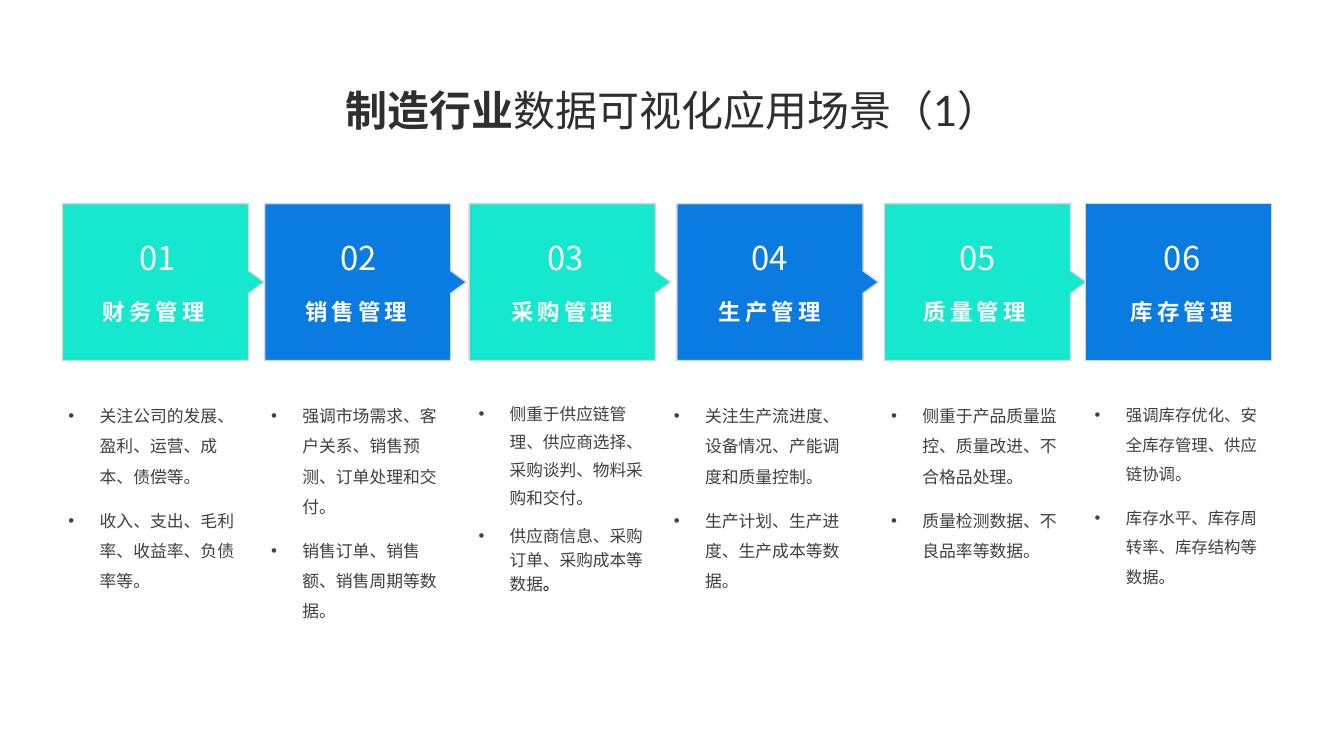
from dataclasses import dataclass

from lxml import etree
from pptx import Presentation
from pptx.dml.color import RGBColor
from pptx.enum.shapes import MSO_SHAPE
from pptx.enum.text import MSO_ANCHOR as ANCHOR, MSO_AUTO_SIZE as AUTO, PP_ALIGN as ALIGN
from pptx.oxml.ns import qn
from pptx.util import Pt

TEAL = RGBColor(0x16, 0xE7, 0xCF)
BLUE = RGBColor(0x0A, 0x7B, 0xE0)
WHITE = RGBColor(0xFF, 0xFF, 0xFF)
BORDER = RGBColor(0xD5, 0xD5, 0xD5)
INK = RGBColor(0x2F, 0x2F, 0x2F)
GREY = RGBColor(0x40, 0x40, 0x40)
BLACK = RGBColor(0, 0, 0)
TITLE_FONT = "Lato"
BODY_FONT = "Noto Sans CJK SC"

CARD_TOP, CARD_W, CARD_H = 291, 266, 224
TIP_W, TIP_HALF = 22, 16
BODY_TOP, BODY_W, BODY_H = 565.2, 253.4, 315.4
HANG = 44.6


@dataclass
class Scene:
    """One card; the shifts move its number, name and bullets sideways."""
    left: float
    name: str
    bullets: tuple
    number_shift: float
    name_shift: float
    body_shift: float
    size: float = 24
    spacing: tuple = (1.5, 1.5)
    end_mark: str = ""


SCENES = [
    Scene(89.3, "财务管理", ("关注公司的发展、盈利、运营、成本、债偿等。",
                         "收入、支出、毛利率、收益率、负债率等。"), -2.5, -2.5, 1.4),
    Scene(378, "销售管理", ("强调市场需求、客户关系、销售预测、订单处理和交付。",
                        "销售订单、销售额、销售周期等数据。"), -4, -2, 2.2),
    Scene(670.3, "采购管理", ("侧重于供应链管理、供应商选择、采购谈判、物料采购和交付。",
                          "供应商信息、采购订单、采购成本等数据"), 0, 0, 6.2,
          size=23.8, spacing=(1.4, 1.2), end_mark="。"),
    Scene(967, "生产管理", ("关注生产流进度、设备情况、产能调度和质量控制。",
                        "生产计划、生产进度、生产成本等数据。"), -6, -0.5, -11.5),
    Scene(1263.6, "质量管理", ("侧重于产品质量监控、质量改进、不合格品处理。",
                           "质量检测数据、不良品率等数据。"), -5, -4, 2.4),
    Scene(1550.6, "库存管理", ("强调库存优化、安全库存管理、供应链协调。",
                           "库存水平、库存周转率、库存结构等数据。"), 0, 4.5, 6.2, size=23.4),
]


def add_run(p, text, size, color, font=BODY_FONT, bold=False, tracking=0):
    r = p.add_run()
    r.text = text
    r.font.size = Pt(size)
    r.font.bold = bold
    r.font.color.rgb = color
    r.font.name = font
    rPr = r.font._element
    etree.SubElement(rPr, qn("a:ea")).set("typeface", font)
    if tracking:
        rPr.set("spc", str(tracking * 100))


def set_frame(tf, insets, anchor=ANCHOR.TOP):
    tf.word_wrap = True
    tf.auto_size = AUTO.NONE
    tf.vertical_anchor = anchor
    tf.margin_left, tf.margin_top, tf.margin_right, tf.margin_bottom = map(Pt, insets)


def add_box(slide, x, y, w, h, insets, anchor=ANCHOR.TOP):
    tf = slide.shapes.add_textbox(Pt(x), Pt(y), Pt(w), Pt(h)).text_frame
    set_frame(tf, insets, anchor)
    return tf


def set_indent(p, left, first):
    pPr = p._p.get_or_add_pPr()
    pPr.set("marL", str(Pt(left)))
    pPr.set("indent", str(Pt(first)))
    return pPr


def add_title(slide, x, y, w, h):
    sp = slide.shapes.title
    sp.left, sp.top, sp.width, sp.height = Pt(x), Pt(y), Pt(w), Pt(h)
    set_frame(sp.text_frame, (7.2,) * 4, ANCHOR.MIDDLE)
    p = sp.text_frame.paragraphs[0]
    p.alignment = ALIGN.CENTER
    add_run(p, "制造行业", 60, INK, font=TITLE_FONT, bold=True)
    add_run(p, "数据可视化应用场景（1）", 60, INK, font=TITLE_FONT)


def add_panel(slide, x, y, w, h, fill, has_tip):
    """Draw the card's rectangle, with a small arrow tip on the right if asked."""
    if has_tip:
        mid, right = y + h / 2, x + w
        points = [(right, y), (right, mid - TIP_HALF), (right + TIP_W, mid),
                  (right, mid + TIP_HALF), (right, y + h), (x, y + h)]
        outline = slide.shapes.build_freeform(Pt(x), Pt(y))
        outline.add_line_segments([(Pt(a), Pt(b)) for a, b in points], close=True)
        sp = outline.convert_to_shape()
    else:
        sp = slide.shapes.add_shape(MSO_SHAPE.RECTANGLE, Pt(x), Pt(y), Pt(w), Pt(h))
    sp.shadow.inherit = False
    sp.fill.solid()
    sp.fill.fore_color.rgb = fill
    sp.line.color.rgb = BORDER
    sp.line.width = Pt(2)


def add_card(slide, x, y, w, h, number, scene, fill, has_tip):
    add_panel(slide, x, y, w, h, fill, has_tip)
    text_w = 230
    text_x = x + (w - text_w) / 2

    tf = add_box(slide, text_x + scene.name_shift, y + 116.5, text_w, 72,
                 (7.2, 3.6, 7.2, 0), ANCHOR.MIDDLE)
    p = tf.paragraphs[0]
    p.alignment = ALIGN.CENTER
    add_run(p, scene.name, 32, WHITE, bold=True, tracking=6)

    tf = add_box(slide, text_x + scene.number_shift, y + 44.5, text_w, 72,
                 (7.2, 3.6, 7.2, 3.6))
    p = tf.paragraphs[0]
    p.alignment = ALIGN.CENTER
    set_indent(p, 0, 10)
    add_run(p, f"{number:02d}", 46.8, WHITE)


def add_bullets(slide, x, y, w, h, scene):
    tf = add_box(slide, x, y, w, h, (7.2, 0, 7.2, 3.6))
    for i, (text, spacing) in enumerate(zip(scene.bullets, scene.spacing)):
        p = tf.add_paragraph() if i else tf.paragraphs[0]
        pPr = set_indent(p, HANG, -HANG)
        pPr.set("hangingPunct", "0")
        etree.SubElement(pPr, qn("a:buFont")).set("typeface", "Arial")
        etree.SubElement(pPr, qn("a:buChar")).set("char", "•")
        p.line_spacing = spacing
        p.space_before = Pt(20 if i else 0)
        add_run(p, text, scene.size, GREY)
    if scene.end_mark:
        add_run(p, scene.end_mark, scene.size, BLACK, tracking=3)


def main():
    prs = Presentation()
    prs.slide_width, prs.slide_height = Pt(1920), Pt(1080)
    slide = prs.slides.add_slide(prs.slide_layouts[5])
    add_title(slide, 1, 113, 1919, 87)
    for i, scene in enumerate(SCENES):
        add_card(slide, scene.left, CARD_TOP, CARD_W, CARD_H, i + 1, scene,
                 BLUE if i % 2 else TEAL, has_tip=i < len(SCENES) - 1)
        add_bullets(slide, scene.left + scene.body_shift, BODY_TOP, BODY_W, BODY_H, scene)
    prs.save("out.pptx")


if __name__ == "__main__":
    main()
